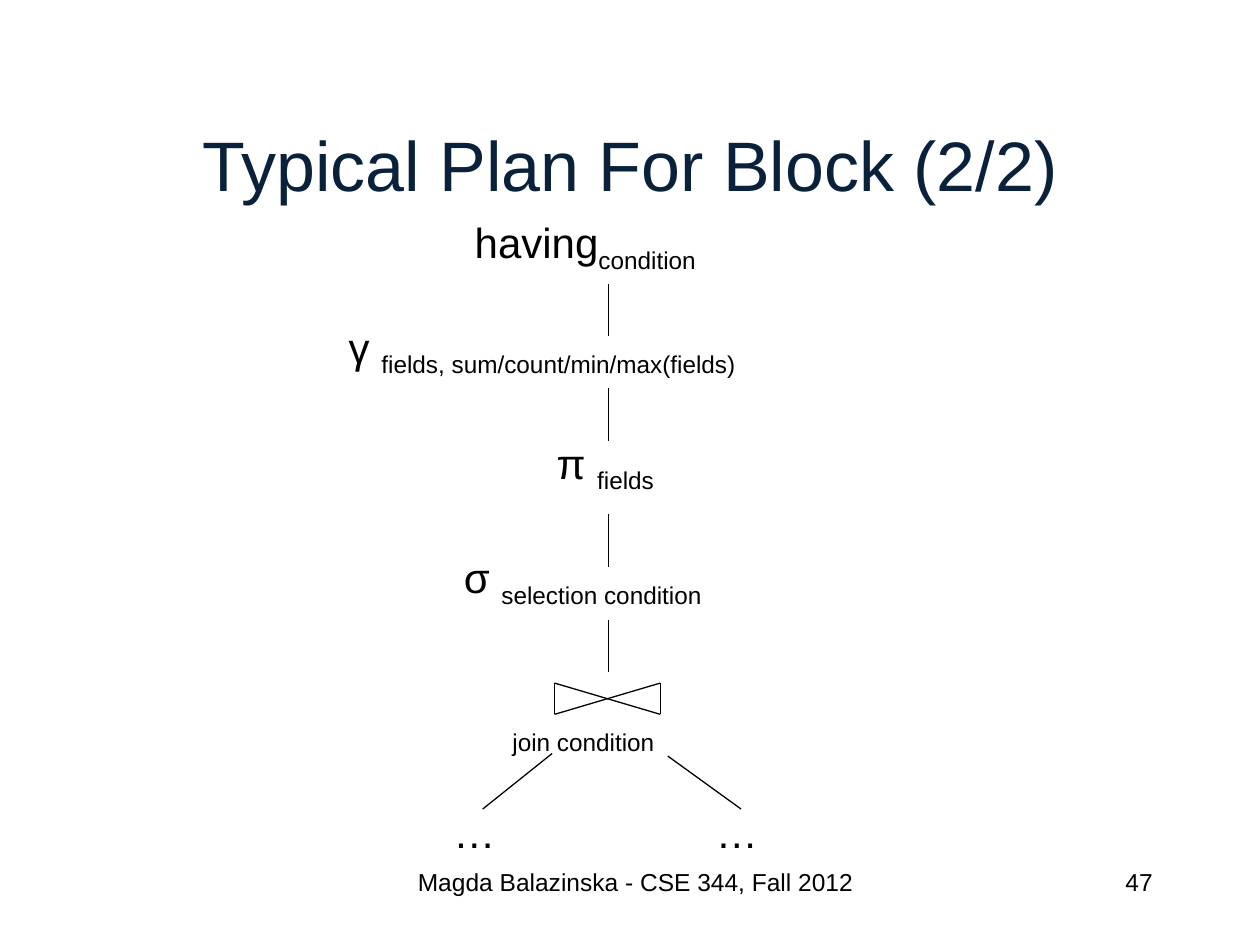
from lxml import etree
from pptx import Presentation
from pptx.dml.color import RGBColor
from pptx.enum.shapes import MSO_CONNECTOR
from pptx.enum.text import MSO_ANCHOR, MSO_AUTO_SIZE, PP_ALIGN
from pptx.oxml.ns import qn
from pptx.util import Cm, Pt

BLACK = RGBColor(0x00, 0x00, 0x00)
NAVY = RGBColor(0x09, 0x21, 0x3B)
STRAIGHT = MSO_CONNECTOR.STRAIGHT
LEFT, CENTER, RIGHT = PP_ALIGN.LEFT, PP_ALIGN.CENTER, PP_ALIGN.RIGHT
TOP, MIDDLE = MSO_ANCHOR.TOP, MSO_ANCHOR.MIDDLE
GROW = MSO_AUTO_SIZE.SHAPE_TO_FIT_TEXT
NO_FIT = MSO_AUTO_SIZE.NONE
SUBSCRIPT = "-25000"

TRUNK_X = 12.27
TRUNK_LENGTH = 1.06
TRUNK_TOPS = [5.72, 7.82, 10.36, 12.49]
BRANCHES = [(11.13, 15.19, 9.73, 16.31), (13.46, 15.24, 14.94, 16.31)]
JOIN_LEFT, JOIN_RIGHT, JOIN_TOP, JOIN_BOTTOM = 11.18, 13.31, 13.77, 14.4

OPERATORS = [
    ("having", "condition", (9.32, 4.24, 5.31, 1.27)),
    ("γ ", "fields, sum/count/min/max(fields)", (6.78, 6.35, 9.35, 1.27)),
    ("π ", "fields", (10.97, 8.69, 2.51, 1.27)),
    ("σ ", "selection condition", (9.1, 11, 5.94, 1.27)),
    ("", "join condition", (10.08, 13.97, 3.89, 0.94)),
    ("…", "", (8.89, 16.13, 1.37, 1.27)),
    ("…", "", (14.18, 16.13, 1.37, 1.27)),
]


def set_attributes(target, values):
    for name, value in values.items():
        setattr(target, name, value)


def add_text(slide, box, size, text, subscript="", color=BLACK,
             alignment=LEFT, anchor=TOP, wrap=True):
    shape = slide.shapes.add_textbox(*map(Cm, box))
    set_attributes(shape.text_frame, {
        "word_wrap": wrap,
        "auto_size": NO_FIT if wrap else GROW,
        "vertical_anchor": anchor,
    })
    paragraph = shape.text_frame.paragraphs[0]
    paragraph.alignment = alignment
    for content, baseline in ((text, None), (subscript, SUBSCRIPT)):
        if not content:
            continue
        run = paragraph.add_run()
        run.text = content
        set_attributes(run.font, {"name": "Arial", "size": Pt(size)})
        run.font.color.rgb = color
        if baseline:
            run._r.get_or_add_rPr().set("baseline", baseline)


def add_line(shapes, *ends):
    connector = shapes.add_connector(STRAIGHT, *map(Cm, ends))
    connector.line.width = Pt(0.75)
    connector.line.color.rgb = BLACK
    etree.SubElement(connector._element.spPr, qn("a:effectLst"))


def add_join_symbol(slide):
    group = slide.shapes.add_group_shape()
    for x, opposite in ((JOIN_LEFT, JOIN_RIGHT), (JOIN_RIGHT, JOIN_LEFT)):
        add_line(group.shapes, x, JOIN_TOP, x, JOIN_BOTTOM)
        add_line(group.shapes, x, JOIN_TOP, opposite, JOIN_BOTTOM)


def main():
    presentation = Presentation()
    set_attributes(presentation, {"slide_width": Cm(25.4), "slide_height": Cm(19.05)})
    slide = presentation.slides.add_slide(presentation.slide_layouts[6])

    add_text(slide, (1.9, 1.7, 21.6, 3.18), 40, "Typical Plan For Block (2/2)",
             color=NAVY, alignment=CENTER, anchor=MIDDLE)
    for symbol, subscript, box in OPERATORS:
        add_text(slide, box, 24, symbol, subscript, wrap=False)
    for top in TRUNK_TOPS:
        add_line(slide.shapes, TRUNK_X, top, TRUNK_X, top + TRUNK_LENGTH)
    add_join_symbol(slide)
    for branch in BRANCHES:
        add_line(slide.shapes, *branch)
    add_text(slide, (8.05, 17.35, 9.53, 1.27), 14,
             "Magda Balazinska - CSE 344, Fall 2012", alignment=CENTER)
    add_text(slide, (18.21, 17.35, 5.28, 1.27), 14, "47", alignment=RIGHT)

    presentation.save("out.pptx")


if __name__ == "__main__":
    main()
